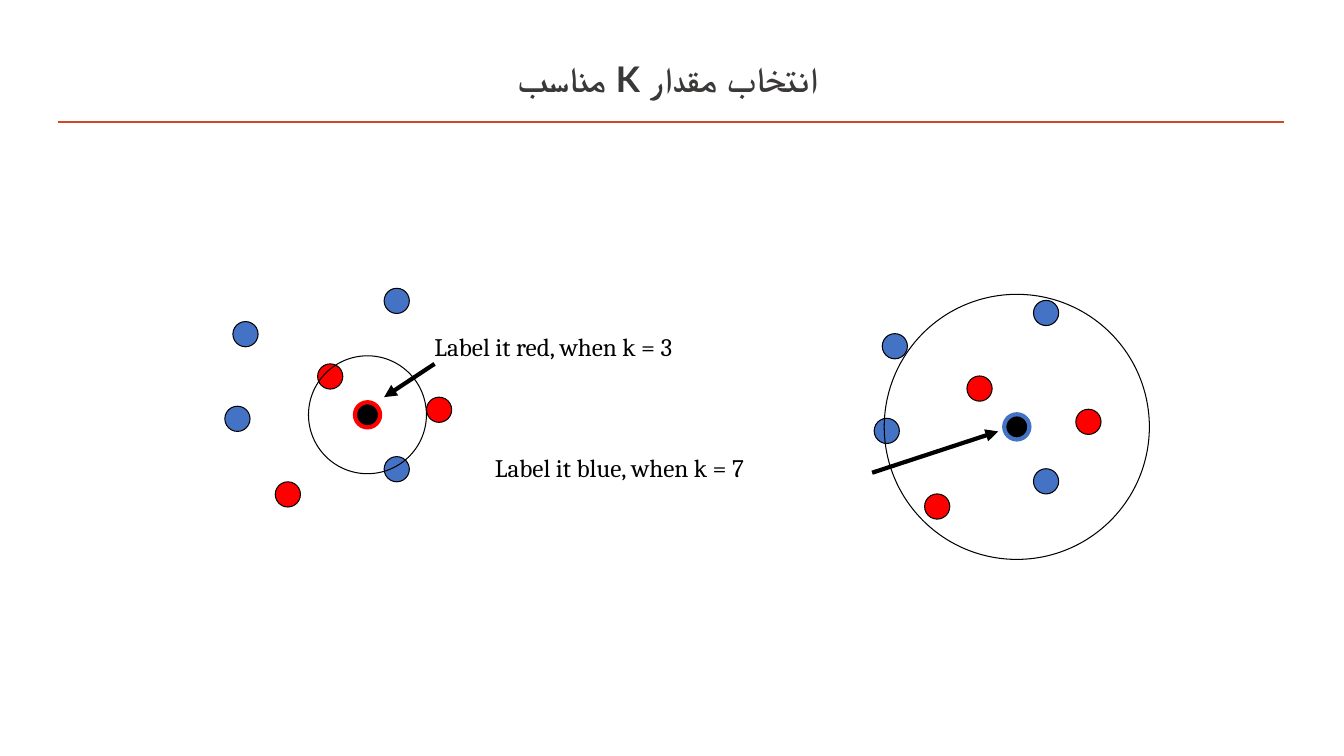
from lxml.etree import SubElement
from pptx import Presentation
from pptx.dml.color import RGBColor
from pptx.enum.shapes import MSO_CONNECTOR, MSO_SHAPE
from pptx.enum.text import MSO_ANCHOR, PP_ALIGN
from pptx.oxml.ns import qn
from pptx.util import Pt

SCALE = 9144
BLUE, RED, BLACK = "4472C4", "FF0000", "000000"
DOT = 25
DOTS = [
    (231, 319, BLUE), (273, 478, RED), (381, 286, BLUE), (223, 403, BLUE),
    (423, 394, RED), (315, 361, RED), (381, 453, BLUE),
]
QUERY = (352, 399)


def px(*values):
    return [value * SCALE for value in values]


def paint(value):
    return RGBColor.from_string(value)


def write(frame, text, size=18, font="Cambria", color=BLACK, bold=False,
          align=PP_ALIGN.LEFT, anchor=MSO_ANCHOR.TOP, rtl=False):
    frame.word_wrap = True
    frame.vertical_anchor = anchor
    frame.text = text
    para = frame.paragraphs[0]
    para.alignment = align
    if rtl:
        para._p.get_or_add_pPr().set("rtl", "1")
    style = para.runs[0].font
    style.size, style.name, style.bold = Pt(size), font, bold
    style.color.rgb = paint(color)


class Canvas:
    ink = BLACK
    thin = 0.75
    thick = 3

    def __init__(self, slide):
        self.slide = slide
        self.shapes = slide.shapes

    def title(self, text, left, top, width, height):
        box = self.shapes.title
        box.left, box.top, box.width, box.height = px(left, top, width, height)
        write(box.text_frame, text, size=25.2, font="Lato", color="3B3838",
              bold=True, align=PP_ALIGN.CENTER, anchor=MSO_ANCHOR.MIDDLE, rtl=True)

    def label(self, text, left, top, width, height):
        box = self.shapes.add_textbox(*px(left, top, width, height))
        write(box.text_frame, text)

    def circle(self, left, top, size, fill=None, line=None, weight=None):
        oval = self.shapes.add_shape(MSO_SHAPE.OVAL, *px(left, top, size, size))
        oval.shadow.inherit = False
        if fill:
            oval.fill.solid()
            oval.fill.fore_color.rgb = paint(fill)
        else:
            oval.fill.background()
        oval.line.color.rgb = paint(line or self.ink)
        oval.line.width = Pt(weight or self.thin)

    def line(self, start, end, color=None, weight=None, arrow=False):
        link = self.shapes.add_connector(MSO_CONNECTOR.STRAIGHT, *px(*start, *end))
        link.line.color.rgb = paint(color or self.ink)
        link.line.width = Pt(weight or self.thick)
        props = link.element.spPr
        if arrow:
            SubElement(props.find(qn("a:ln")), qn("a:tailEnd"), type="triangle")
        SubElement(props, qn("a:effectLst"))

    def cluster(self, shift, ring, color, label, arrow):
        across, down = shift
        for left, top, fill in DOTS:
            self.circle(left + across, top + down, DOT, fill)
        self.label(*label)
        left, top = QUERY[0] + across, QUERY[1] + down
        self.circle(left, top, DOT, BLACK, color, self.thick)
        self.line(*arrow, arrow=True)
        inset = (ring - DOT) // 2
        self.circle(left - inset, top - inset, ring)


def main():
    deck = Presentation()
    deck.slide_width, deck.slide_height = px(1333, 750)
    canvas = Canvas(deck.slides.add_slide(deck.slide_layouts[5]))
    canvas.title("انتخاب مقدار K مناسب", 49, 47, 1226, 61)
    canvas.line((58, 121), (1274, 121), color="D24726", weight=2)
    canvas.cluster((0, 0), 117, RED,
                   ("Label it red, when k = 3", 421, 324, 281, 40),
                   ((431, 361), (381, 394)))
    canvas.cluster((644, 12), 263, BLUE,
                   ("Label it blue, when k = 7", 481, 444, 292, 40),
                   ((865, 469), (990, 428)))
    deck.save("out.pptx")


if __name__ == "__main__":
    main()
